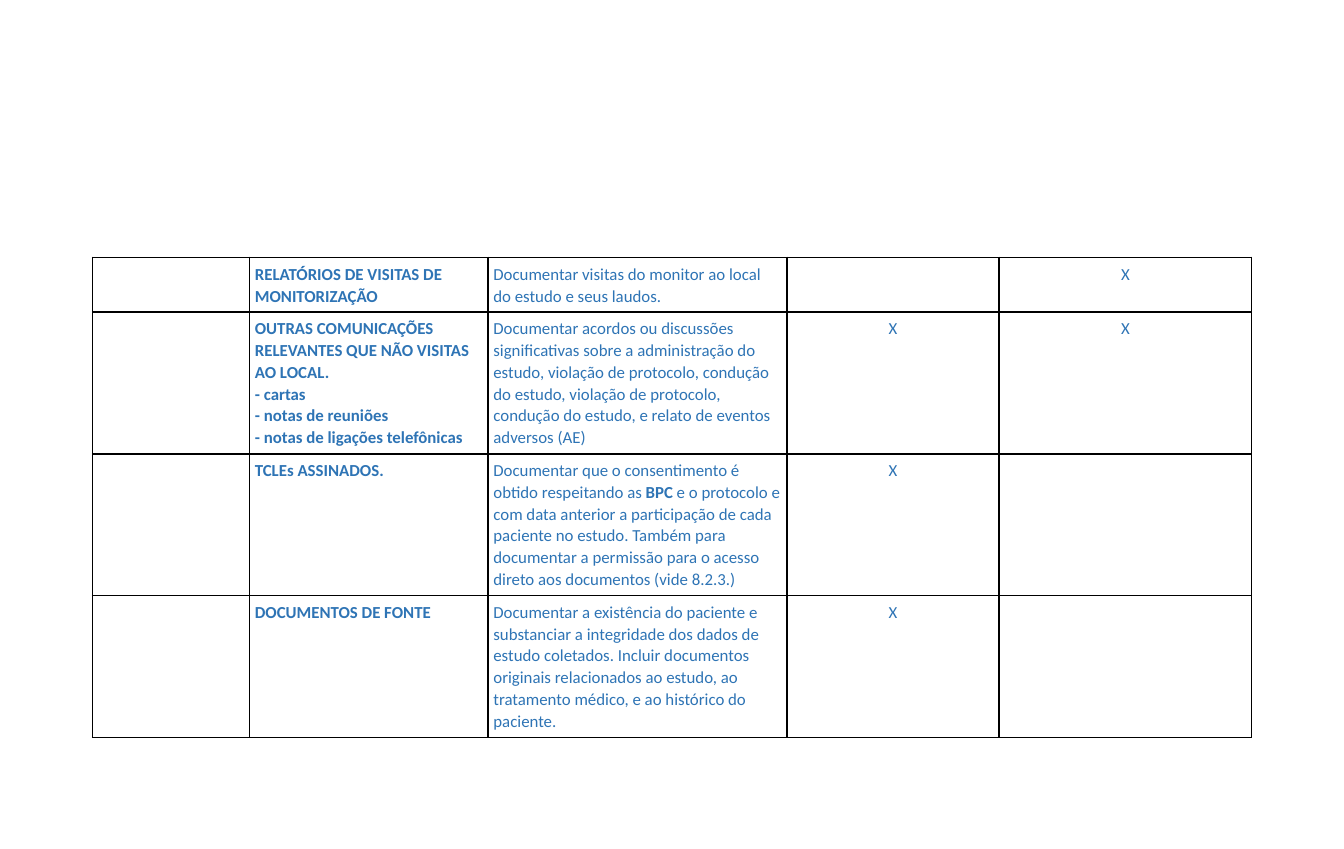
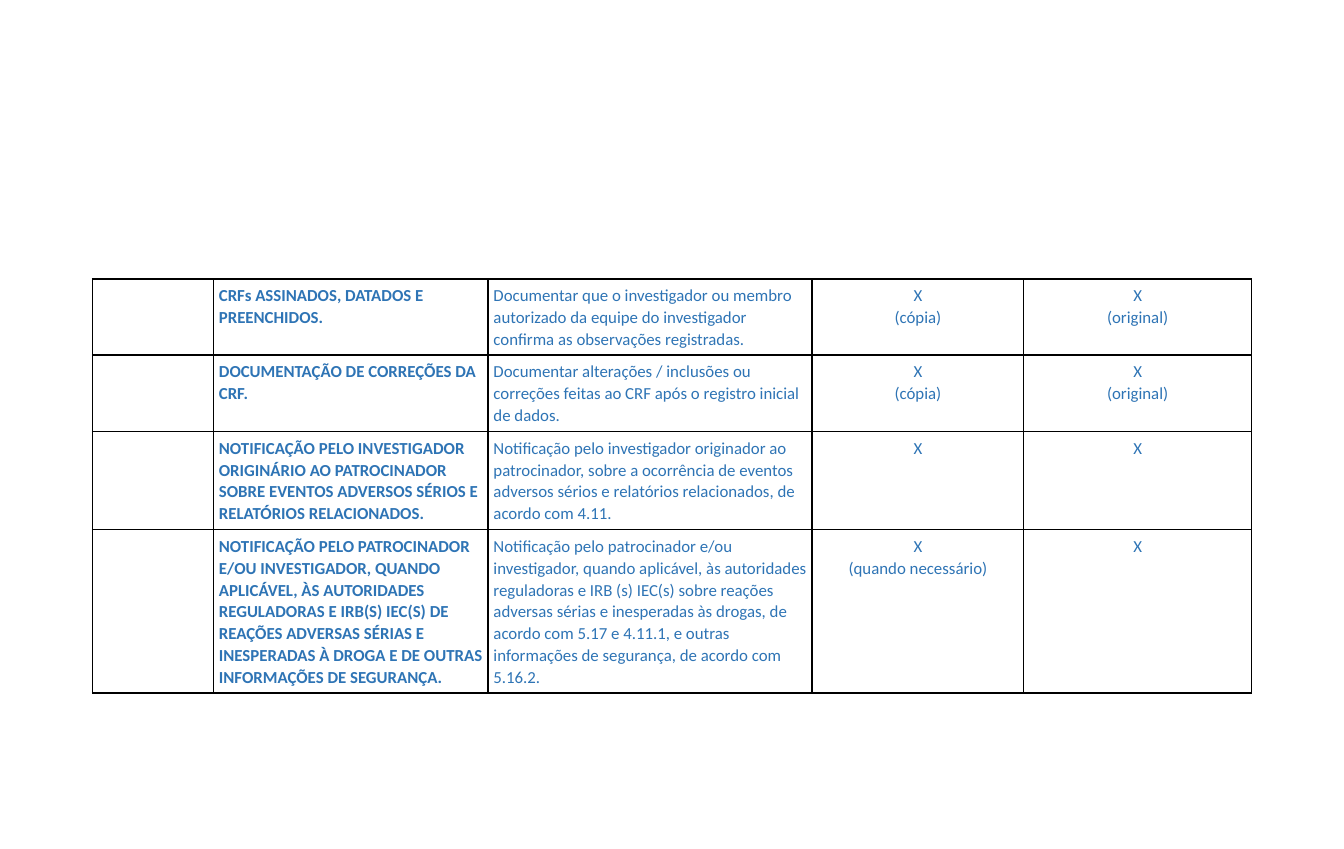
from lxml.etree import SubElement
from pptx import Presentation
from pptx.dml.color import RGBColor
from pptx.enum.text import PP_ALIGN
from pptx.oxml.ns import qn
from pptx.util import Pt

TEXT_BLUE = RGBColor(0x2E, 0x74, 0xB5)
BORDER_BLACK = RGBColor(0x00, 0x00, 0x00)
FONT = "Calibri"
FONT_SIZE = Pt(9)
LINE_SPACING = 1.07
TABLE_LEFT = 49.6
CELL_MARGIN = 2.88
LINE_HEIGHT = 11.6
DOCUMENT_COLUMN = 1
FIRST_MARK_COLUMN = 3

monitoring_rows = [
    (2, "RELATÓRIOS DE VISITAS DE MONITORIZAÇÃO",
     "Documentar visitas do monitor ao local do estudo e seus laudos.",
     "", "X"),
    (6, "OUTRAS COMUNICAÇÕES RELEVANTES QUE NÃO VISITAS AO LOCAL.\n"
        "- cartas\n- notas de reuniões\n- notas de ligações telefônicas",
     "Documentar acordos ou discussões significativas sobre a administração do estudo, "
     "violação de protocolo, condução do estudo, violação de protocolo, condução do estudo, "
     "e relato de eventos adversos (AE)",
     "X", "X"),
    (6, "TCLEs ASSINADOS.",
     "Documentar que o consentimento é obtido respeitando as** BPC** e o protocolo e com data "
     "anterior a participação de cada paciente no estudo. Também para documentar a permissão "
     "para o acesso direto aos documentos (vide 8.2.3.)",
     "X", ""),
    (6, "DOCUMENTOS DE FONTE",
     "Documentar a existência do paciente e substanciar a integridade dos dados de estudo "
     "coletados. Incluir documentos originais relacionados ao estudo, ao tratamento médico, "
     "e ao histórico do paciente.",
     "X", ""),
]

notification_rows = [
    (3, "CRFs ASSINADOS, DATADOS E PREENCHIDOS.",
     "Documentar que o investigador ou membro autorizado da equipe do investigador confirma "
     "as observações registradas.",
     "X\n(cópia)", "X\n(original)"),
    (3, "DOCUMENTAÇÃO DE CORREÇÕES DA CRF.",
     "Documentar alterações / inclusões ou correções feitas ao CRF após o registro inicial "
     "de dados.",
     "X\n(cópia)", "X\n(original)"),
    (4, "NOTIFICAÇÃO PELO INVESTIGADOR ORIGINÁRIO AO PATROCINADOR SOBRE EVENTOS ADVERSOS "
        "SÉRIOS E RELATÓRIOS RELACIONADOS.",
     "Notificação pelo investigador originador ao patrocinador, sobre a ocorrência de eventos "
     "adversos sérios e relatórios relacionados, de acordo com 4.11.",
     "X", "X"),
    (7, "NOTIFICAÇÃO PELO PATROCINADOR E/OU INVESTIGADOR, QUANDO APLICÁVEL, ÀS AUTORIDADES "
        "REGULADORAS E IRB(S) IEC(S) DE REAÇÕES ADVERSAS SÉRIAS E INESPERADAS À DROGA E DE "
        "OUTRAS INFORMAÇÕES DE SEGURANÇA.",
     "Notificação pelo patrocinador e/ou investigador, quando aplicável, às autoridades "
     "reguladoras e IRB (s) IEC(s) sobre reações adversas sérias e inesperadas às drogas, "
     "de acordo com 5.17 e 4.11.1, e outras informações de segurança, de acordo com 5.16.2.",
     "X\n(quando necessário)", "X"),
]

document_tables = [
    (138, [84.1, 127.8, 160.2, 113.6, 135.3], monitoring_rows),
    (149.5, [64.8, 147.1, 173.6, 113.3, 122.2], notification_rows),
]


def style_cell(cell):
    cell.margin_left = cell.margin_right = Pt(CELL_MARGIN)
    cell.margin_top = cell.margin_bottom = Pt(CELL_MARGIN)
    properties = cell._tc.get_or_add_tcPr()
    for side in ("a:lnL", "a:lnR", "a:lnT", "a:lnB"):
        border = SubElement(properties, qn(side), w=str(Pt(1)))
        border_fill = SubElement(border, qn("a:solidFill"))
        SubElement(border_fill, qn("a:srgbClr"), val=str(BORDER_BLACK))
    cell.fill.background()


def write_cell(cell, text, bold, alignment):
    for index, line in enumerate(text.split("\n")):
        frame = cell.text_frame
        paragraph = frame.add_paragraph() if index else frame.paragraphs[0]
        paragraph.alignment = alignment
        paragraph.line_spacing = LINE_SPACING
        for part, words in enumerate(line.split("**")):
            run = paragraph.add_run()
            run.text = words
            run.font.name = FONT
            run.font.size = FONT_SIZE
            run.font.bold = bold or part % 2 == 1
            run.font.color.rgb = TEXT_BLUE


presentation = Presentation()
presentation.slide_width = Pt(720)
presentation.slide_height = Pt(455)

for top, widths, documents in document_tables:
    slide = presentation.slides.add_slide(presentation.slide_layouts[6])
    heights = [lines * LINE_HEIGHT + 2 * CELL_MARGIN for lines, *_ in documents]
    table = slide.shapes.add_table(
        len(documents), len(widths),
        Pt(TABLE_LEFT), Pt(top), Pt(sum(widths)), Pt(sum(heights)),
    ).table
    table.first_row = False
    table.horz_banding = False
    for column, width in zip(table.columns, widths):
        column.width = Pt(width)
    for row, height, (_, *texts) in zip(table.rows, heights, documents):
        row.height = Pt(height)
        for position, cell in enumerate(row.cells):
            style_cell(cell)
            text = texts[position - 1] if position else ""
            if text:
                is_mark = position >= FIRST_MARK_COLUMN
                alignment = PP_ALIGN.CENTER if is_mark else PP_ALIGN.LEFT
                write_cell(cell, text, position == DOCUMENT_COLUMN, alignment)

presentation.save("out.pptx")
